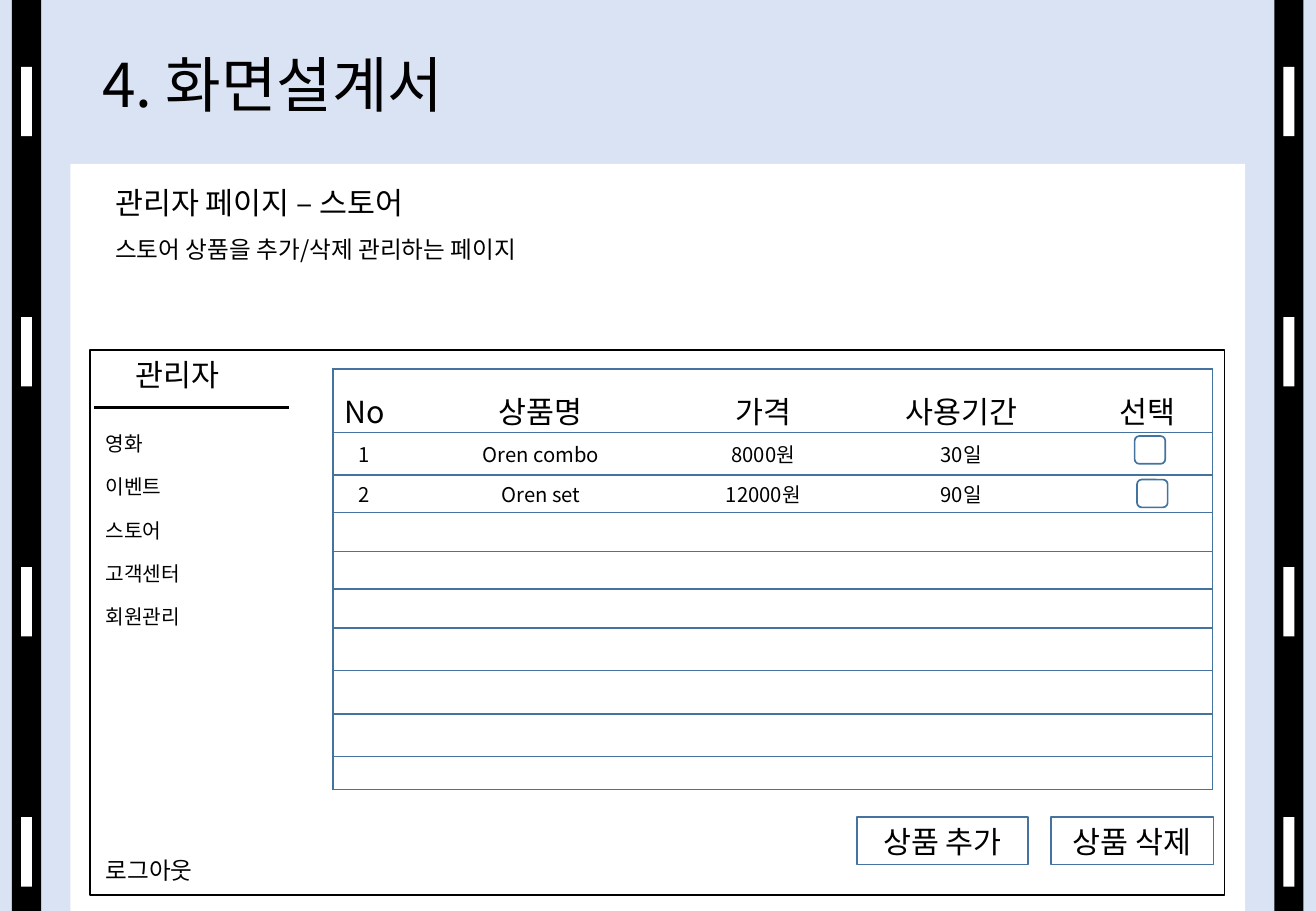
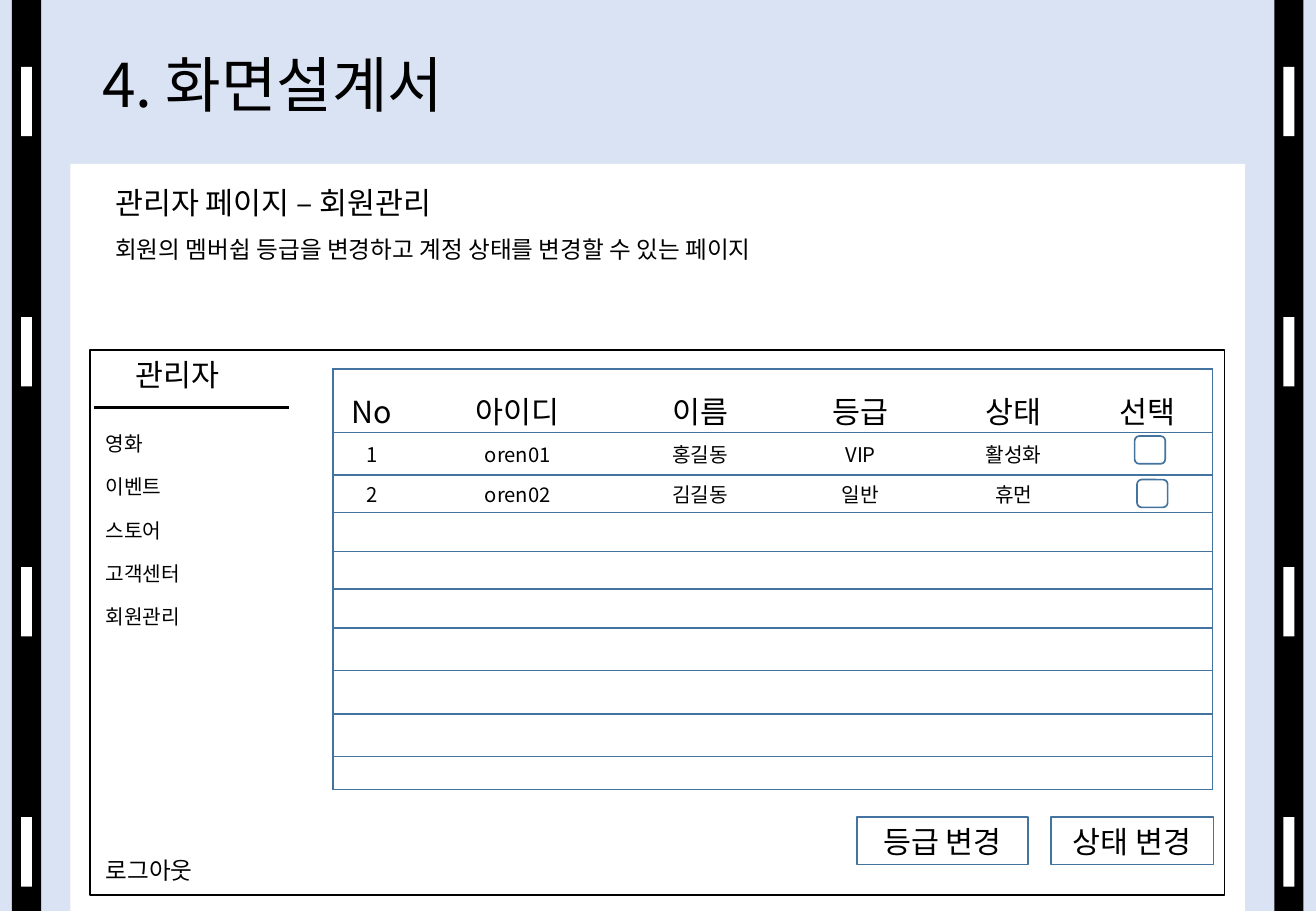
"""Build two admin screen design slides: store and member management."""
from lxml import etree
from pptx import Presentation
from pptx.dml.color import RGBColor
from pptx.enum.shapes import MSO_CONNECTOR, MSO_SHAPE
from pptx.enum.text import MSO_ANCHOR, PP_ALIGN
from pptx.oxml.ns import qn
from pptx.util import Cm, Pt

BLACK = RGBColor(0x00, 0x00, 0x00)
WHITE = RGBColor(0xFF, 0xFF, 0xFF)
BLUE = RGBColor(0x43, 0x73, 0x9E)
PALE = RGBColor(0xDA, 0xE3, 0xF3)
FONT = "Noto Sans CJK KR"
RECT = MSO_SHAPE.RECTANGLE
ROUND = MSO_SHAPE.ROUNDED_RECTANGLE
STRAIGHT = MSO_CONNECTOR.STRAIGHT
MIDDLE = MSO_ANCHOR.MIDDLE
BOTTOM = MSO_ANCHOR.BOTTOM
LEFT = PP_ALIGN.LEFT
CENTER = PP_ALIGN.CENTER

MENU = ["영화", "이벤트", "스토어", "고객센터", "회원관리"]
ROWS = [1.32, 0.89, 0.79, 0.81, 0.79, 0.81, 0.89, 0.91, 0.89, 0.69]
PAGES = [
    {
        "head": "관리자 페이지 – 스토어",
        "note": "스토어 상품을 추가/삭제 관리하는 페이지",
        "cols": [1.32, 6.05, 3.25, 5.03, 2.74],
        "data": [
            ["No", "상품명", "가격", "사용기간", "선택"],
            ["1", "Oren combo", "8000원", "30일"],
            ["2", "Oren set", "12000원", "90일"],
        ],
        "acts": ["상품 추가", "상품 삭제"],
    },
    {
        "head": "관리자 페이지 – 회원관리",
        "note": "회원의 멤버쉽 등급을 변경하고 계정 상태를 변경할 수 있는 페이지",
        "cols": [1.63, 4.47, 3.15, 3.56, 2.84, 2.74],
        "data": [
            ["No", "아이디", "이름", "등급", "상태", "선택"],
            ["1", "oren01", "홍길동", "VIP", "활성화"],
            ["2", "oren02", "김길동", "일반", "휴먼"],
        ],
        "acts": ["등급 변경", "상태 변경"],
    },
]


def add_run(para, text, size, font=FONT):
    """Add one black run with Latin and East Asian fonts."""
    run = para.add_run()
    run.text = text
    run.font.size = Pt(size)
    run.font.color.rgb = BLACK
    run.font.name = font
    etree.SubElement(run.font._element, qn("a:ea"), typeface=FONT)


def add_box(slide, place, fill=None, line=None, kind=RECT):
    """Add a flat shape at left, top, width, height in centimetres."""
    shape = slide.shapes.add_shape(kind, *map(Cm, place))
    shape.shadow.inherit = False
    if fill is None:
        shape.fill.background()
    else:
        shape.fill.solid()
        shape.fill.fore_color.rgb = fill
    if line is None:
        shape.line.fill.background()
    else:
        shape.line.color.rgb = line
        shape.line.width = Pt(1)
    return shape


def add_text(slide, place, lines, size, font=FONT, gap=0):
    """Add a text box with one paragraph for each line."""
    box = slide.shapes.add_textbox(*map(Cm, place))
    frame = box.text_frame
    frame.word_wrap = True
    for i, text in enumerate(lines):
        para = frame.add_paragraph() if i else frame.paragraphs[0]
        para.space_after = Pt(gap)
        add_run(para, text, size, font)
    return box


def add_title(slide, text):
    """Add the slide title as a title placeholder."""
    box = add_text(slide, (1.88, 0, 23.72, 3.68), [text], 35.8)
    box.element.nvSpPr.nvPr.get_or_add_ph().set("type", "title")
    box.text_frame.vertical_anchor = MIDDLE
    para = box.text_frame.paragraphs[0]
    para.alignment = LEFT
    para.line_spacing = 0.9


def add_rule(slide, left, right, top):
    """Add a black level line."""
    rule = slide.shapes.add_connector(STRAIGHT, Cm(left), Cm(top), Cm(right), Cm(top))
    rule.line.color.rgb = BLACK
    rule.line.width = Pt(1.75)
    etree.SubElement(rule.element.spPr, qn("a:effectLst"))


def add_button(slide, left, width, text):
    """Add an outlined button with a centred label."""
    shape = add_box(slide, (left, 17.09, width, 0.99), WHITE, BLUE)
    frame = shape.text_frame
    frame.margin_top = frame.margin_bottom = 0
    frame.vertical_anchor = MIDDLE
    frame.paragraphs[0].alignment = CENTER
    add_run(frame.paragraphs[0], text, 18)


def set_edge(cell, side, shown):
    """Draw or hide one border of a cell."""
    edge = etree.SubElement(cell._tc.get_or_add_tcPr(), qn("a:" + side))
    if shown:
        edge.set("w", str(Pt(1)))
        fill = etree.SubElement(edge, qn("a:solidFill"))
        etree.SubElement(fill, qn("a:srgbClr"), val=str(BLUE))
    else:
        etree.SubElement(edge, qn("a:noFill"))


def set_cell(cell, text, is_head, first, last):
    """Style one cell and write its text."""
    for side, shown in (("lnL", first), ("lnR", last), ("lnT", True), ("lnB", True)):
        set_edge(cell, side, shown)
    cell.fill.solid()
    cell.fill.fore_color.rgb = WHITE
    cell.margin_left = cell.margin_right = cell.margin_top = cell.margin_bottom = 0
    cell.vertical_anchor = BOTTOM if is_head else MIDDLE
    para = cell.text_frame.paragraphs[0]
    para.alignment = CENTER
    if text:
        add_run(para, text, 18 if is_head else 12)
    else:
        etree.SubElement(para._p, qn("a:endParaRPr"), sz="1200")


def add_grid(slide, cols, data):
    """Add the list table, with empty rows below the data."""
    place = (6.96, 7.72, sum(cols), sum(ROWS))
    table = slide.shapes.add_table(len(ROWS), len(cols), *map(Cm, place)).table
    table.first_row = table.horz_banding = False
    for col, width in zip(table.columns, cols):
        col.width = Cm(width)
    for row, height in zip(table.rows, ROWS):
        row.height = Cm(height)
    for r in range(len(ROWS)):
        texts = data[r] if r < len(data) else []
        for c in range(len(cols)):
            text = texts[c] if c < len(texts) else ""
            set_cell(table.cell(r, c), text, r == 0, c == 0, c == len(cols) - 1)


def add_film(slide, master):
    """Draw both film strips and move them to the master."""
    master.background.fill.solid()
    master.background.fill.fore_color.rgb = PALE
    for left in (0.25, 26.64):
        parts = [add_box(slide, (left, 0, 0.61, 19.05), BLACK)]
        for i in range(4):
            hole = (left + 0.19, 1.4 + 5.23 * i, 0.23, 1.45)
            parts.append(add_box(slide, hole, WHITE))
        for part in parts:
            master.element.cSld.spTree.append(part.element)


def add_page(slide, page):
    """Fill one slide with its screen design."""
    add_title(slide, "4. 화면설계서")
    add_box(slide, (1.47, 3.43, 24.56, 15.62), WHITE)
    add_text(slide, (2.16, 3.73, 10, 1.02), [page["head"]], 18, "Arial")
    add_text(slide, (2.16, 4.78, 23.47, 0.86), [page["note"]], 14)
    add_box(slide, (1.88, 7.32, 23.72, 11.4), line=BLACK)
    add_text(slide, (2.59, 7.32, 3.3, 1.02), ["관리자"], 18)
    add_rule(slide, 1.96, 6.05, 8.53)
    add_text(slide, (1.96, 8.89, 4.09, 5.46), MENU, 12, gap=11.3)
    add_text(slide, (1.96, 17.78, 3, 0.86), ["로그아웃"], 14)
    add_grid(slide, page["cols"], page["data"])
    for left, top in ((23.72, 9.12), (23.77, 10.03)):
        add_box(slide, (left, top, 0.64, 0.58), WHITE, BLUE, ROUND)
    for left, width, text in zip((17.91, 21.97), (3.58, 3.4), page["acts"]):
        add_button(slide, left, width, text)


def main():
    """Build and save the deck."""
    deck = Presentation()
    deck.slide_width = Cm(27.51)
    deck.slide_height = Cm(19.05)
    blank = deck.slide_layouts[6]
    slides = [deck.slides.add_slide(blank) for _ in PAGES]
    add_film(slides[0], deck.slide_master)
    for slide, page in zip(slides, PAGES):
        add_page(slide, page)
    deck.save("out.pptx")


if __name__ == "__main__":
    main()
